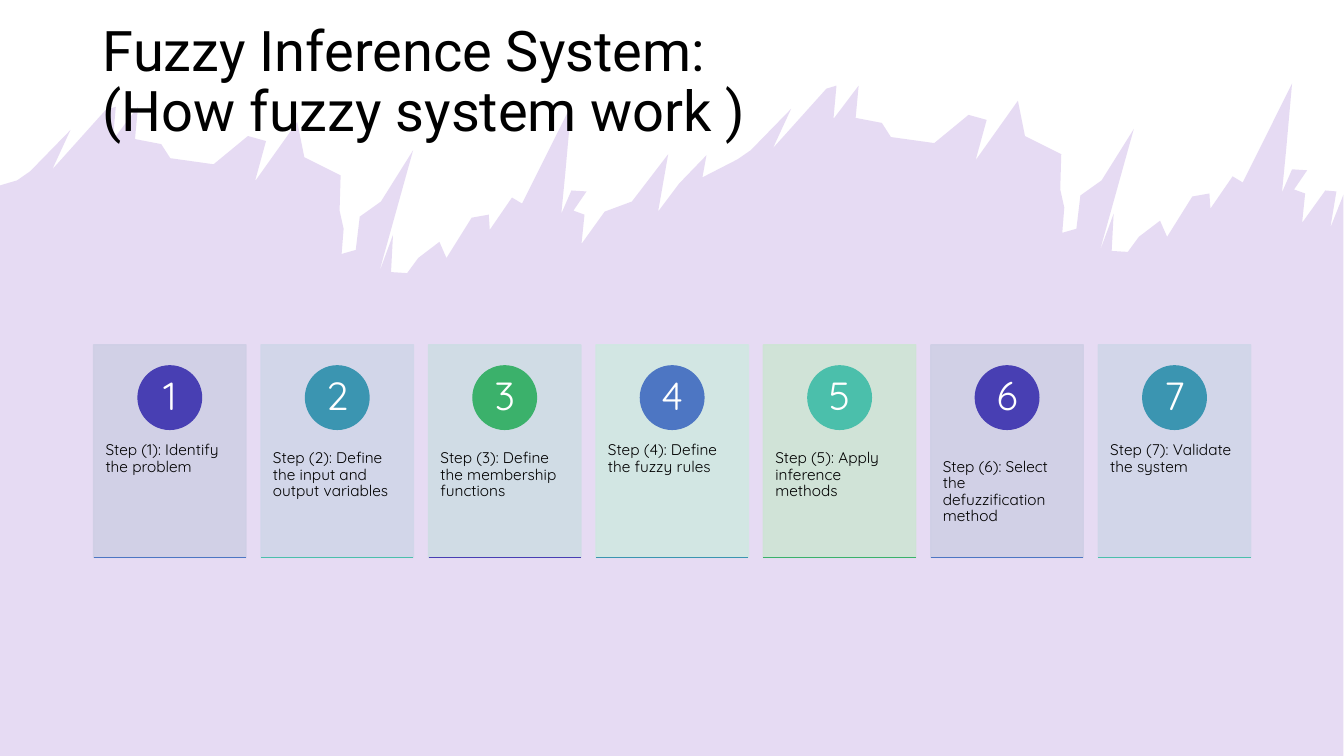
"""Build a slide with seven numbered step cards over a lilac paint splash."""
import pptx
import pptx.dml.color
import pptx.enum.shapes
import pptx.enum.text
import pptx.oxml
import pptx.oxml.ns
import pptx.util

Cm = pptx.util.Cm
RGBColor = pptx.dml.color.RGBColor
SHAPE = pptx.enum.shapes.MSO_SHAPE
ALIGN = pptx.enum.text.PP_ALIGN
ANCHOR = pptx.enum.text.MSO_ANCHOR

BLACK = RGBColor.from_string("000000")
WHITE = RGBColor.from_string("FFFFFF")
PURPLE = RGBColor.from_string("864DC3")
INDIGO = RGBColor.from_string("483FB3")
TEAL = RGBColor.from_string("3B95B1")
GREEN = RGBColor.from_string("3BB16B")
BLUE = RGBColor.from_string("4D76C3")
MINT = RGBColor.from_string("4BBFAB")
PALE_INDIGO = RGBColor.from_string("CFCFE5")
PALE_BLUE = RGBColor.from_string("D0D6E9")
PALE_TEAL = RGBColor.from_string("CEDDE4")
PALE_MINT = RGBColor.from_string("D0E8E2")
PALE_GREEN = RGBColor.from_string("CEE4D4")

CARD_STYLES = [
    (PALE_INDIGO, INDIGO, BLUE),
    (PALE_BLUE, TEAL, MINT),
    (PALE_TEAL, GREEN, INDIGO),
    (PALE_MINT, BLUE, TEAL),
    (PALE_GREEN, MINT, GREEN),
]
STEPS = [
    "Identify the problem",
    "Define the input and output variables",
    "Define the membership functions",
    "Define the fuzzy rules",
    "Apply inference methods",
    "Select the defuzzification method",
    "Validate the system",
]

SPLASH_UNIT = Cm(0.0254)
SPLASH_WAVE = [
    (17, 179), (30, 170), (70, 129), (52, 168), (105, 109), (115, 106), (112, 139),
    (137, 106), (134, 138), (160, 143), (169, 157), (212, 163), (246, 135), (264, 140),
    (253, 180), (295, 121), (302, 156), (338, 174), (337, 209), (341, 227), (339, 252),
    (353, 248), (357, 215), (378, 200), (410, 149), (376, 271), (390, 233), (388, 270),
    (404, 271), (415, 256), (436, 240), (443, 256), (468, 216), (485, 213), (486, 228),
    (508, 196), (518, 202), (567, 104), (561, 171), (557, 212), (567, 189), (582, 190),
    (569, 209), (580, 213), (577, 242), (600, 210),
]
SPLASH_BRIDGE = [(627, 200), (663, 153), (653, 210), (674, 182), (701, 154), (697, 176)]
SPLASH_END = [(1326, 190), (1320, 226), (1333, 193), (1333, 750), (0, 750), (0, 184)]
WAVE_SHIFT_X, WAVE_SHIFT_Y = 715, -21

deck = pptx.Presentation()
deck.slide_width = Cm(33.87)
deck.slide_height = Cm(19.05)
page = deck.slides.add_slide(deck.slide_layouts[6])


def paint(shape, color, opacity=100):
    """Give a shape one flat colour for fill and line."""
    shape.shadow.inherit = False
    shape.fill.solid()
    shape.fill.fore_color.rgb = color
    shape.line.color.rgb = color
    shape.line.width = pptx.util.Pt(1)
    if opacity < 100:
        for tint in shape.element.spPr.iter(pptx.oxml.ns.qn("a:srgbClr")):
            alpha = pptx.oxml.parse_xml(f'<a:alpha {pptx.oxml.ns.nsdecls("a")} val="{opacity * 1000}"/>')
            tint.append(alpha)


def add_text(text, left, top, width, height, font, size, color,
             align=ALIGN.LEFT, anchor=ANCHOR.TOP, insets=(0.25, 0.13, 0.25, 0.13)):
    """Add a text box; insets run left, top, right, bottom in centimetres."""
    box = page.shapes.add_textbox(Cm(left), Cm(top), Cm(width), Cm(height))
    frame = box.text_frame
    frame.word_wrap = True
    frame.vertical_anchor = anchor
    frame.margin_left, frame.margin_top, frame.margin_right, frame.margin_bottom = map(Cm, insets)
    para = frame.paragraphs[0]
    para.text = text
    para.alignment = align
    para.line_spacing = 0.9
    for span in para.runs:
        span.font.name = font
        span.font.size = pptx.util.Pt(size)
        span.font.color.rgb = color


shifted_wave = [(x + WAVE_SHIFT_X, y + WAVE_SHIFT_Y) for x, y in SPLASH_WAVE]
outline = SPLASH_WAVE + SPLASH_BRIDGE + shifted_wave + SPLASH_END
builder = page.shapes.build_freeform(*outline[0], scale=SPLASH_UNIT)
builder.add_line_segments(outline[1:], close=True)
splash = builder.convert_to_shape()
paint(splash, PURPLE, 20)
splash.line.fill.background()

add_text("Fuzzy Inference System:\v(How fuzzy system work )", 2.34, 1.02, 29.2, 3.68,
         "Roboto", 40, BLACK, anchor=ANCHOR.MIDDLE, insets=(0.25, 0.13, 0.25, 1.65))

CARD_TOP, CARD_WIDTH, CARD_HEIGHT = 8.69, 3.84, 5.36
CARD_BOTTOM = CARD_TOP + CARD_HEIGHT
for index, step in enumerate(STEPS):
    left = 2.36 + 4.22 * index
    card_color, badge_color, rule_color = CARD_STYLES[index % len(CARD_STYLES)]
    card = page.shapes.add_shape(SHAPE.RECTANGLE, Cm(left), Cm(CARD_TOP), Cm(CARD_WIDTH), Cm(CARD_HEIGHT))
    paint(card, card_color, 90)
    add_text(f"Step ({index + 1}): {step}", left, 10.72, CARD_WIDTH, 3.23, "Quicksand", 11, BLACK,
             insets=(0.3, 0.91, 0.3, 0.91))
    badge = page.shapes.add_shape(SHAPE.OVAL, Cm(left + 1.12), Cm(9.22), Cm(1.6), Cm(1.6))
    paint(badge, badge_color)
    add_text(str(index + 1), left + 1.35, 9.45, 1.14, 1.14, "Quicksand", 28, WHITE,
             align=ALIGN.CENTER, anchor=ANCHOR.MIDDLE, insets=(0.13, 0.03, 0.13, 0.03))
    rule = page.shapes.add_connector(pptx.enum.shapes.MSO_CONNECTOR.STRAIGHT, Cm(left), Cm(CARD_BOTTOM),
                                     Cm(left + CARD_WIDTH), Cm(CARD_BOTTOM))
    rule.line.color.rgb = rule_color
    rule.line.width = pptx.util.Pt(1)
    rule.element.spPr.append(pptx.oxml.parse_xml(f'<a:effectLst {pptx.oxml.ns.nsdecls("a")}/>'))

deck.save("out.pptx")
